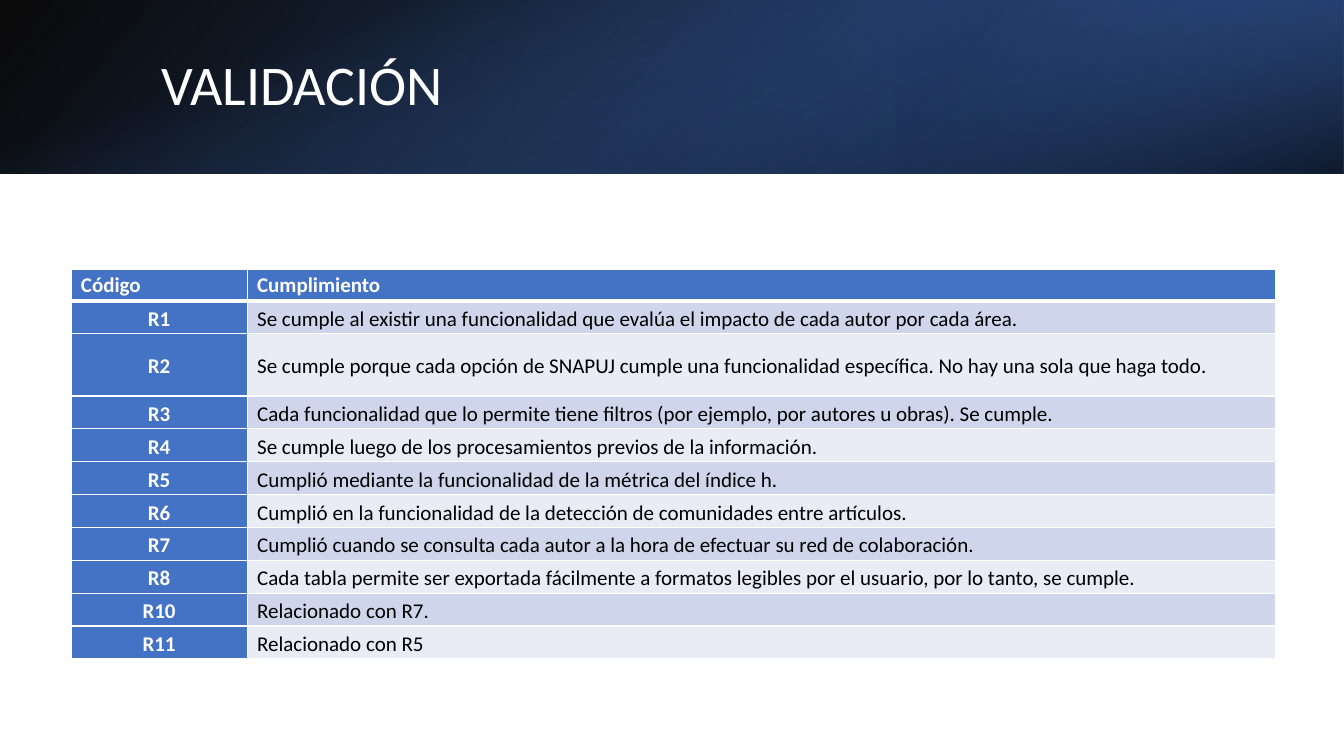
from dataclasses import dataclass

from lxml.etree import SubElement
from pptx import Presentation
from pptx.dml.color import RGBColor
from pptx.enum.shapes import MSO_SHAPE
from pptx.enum.text import MSO_ANCHOR, PP_ALIGN
from pptx.oxml.ns import qn
from pptx.util import Cm, Pt


@dataclass(frozen=True)
class Theme:
    font: str = "Calibri"
    title_size: int = 40
    table_size: int = 15
    white: str = "FFFFFF"
    black: str = "000000"
    blue: str = "4472C4"
    mid_blue: str = "2F5597"
    dark_blue: str = "203864"
    bands: tuple = ("CFD5EA", "E9EBF5")


THEME = Theme()

HEADER = ("Código", "Cumplimiento")
REQUIREMENTS = [
    ("R1", "Se cumple al existir una funcionalidad que evalúa el impacto de cada autor por cada área."),
    ("R2", "Se cumple porque cada opción de SNAPUJ cumple una funcionalidad específica. "
           "No hay una sola que haga todo."),
    ("R3", "Cada funcionalidad que lo permite tiene filtros (por ejemplo, por autores u obras). Se cumple."),
    ("R4", "Se cumple luego de los procesamientos previos de la información."),
    ("R5", "Cumplió mediante la funcionalidad de la métrica del índice h."),
    ("R6", "Cumplió en la funcionalidad de la detección de comunidades entre artículos."),
    ("R7", "Cumplió cuando se consulta cada autor a la hora de efectuar su red de colaboración."),
    ("R8", "Cada tabla permite ser exportada fácilmente a formatos legibles por el usuario, "
           "por lo tanto, se cumple."),
    ("R10", "Relacionado con R7."),
    ("R11", "Relacionado con R5"),
]


def format_text(p, size, color, bold=False):
    for r in p.runs:
        r.font.name = THEME.font
        r.font.size = Pt(size)
        r.font.bold = bold
        r.font.color.rgb = RGBColor.from_string(color)


def add_gradient_rect(slide, left, top, width, height, stops, angle, rotation=0, flip=False):
    """Stops are (position %, colour, opacity %); the angle runs clockwise."""
    sp = slide.shapes.add_shape(MSO_SHAPE.RECTANGLE, left, top, width, height)
    sp.shadow.inherit = False
    sp.line.fill.background()
    sp.rotation = rotation
    spPr = sp._element.spPr
    if flip:
        spPr.find(qn("a:xfrm")).set("flipH", "1")
    sp.fill.gradient()
    grad = spPr.find(qn("a:gradFill"))
    for child in list(grad):
        grad.remove(child)
    stop_list = SubElement(grad, qn("a:gsLst"))
    for position, color, opacity in stops:
        stop = SubElement(stop_list, qn("a:gs"), pos=str(position * 1000))
        rgb = SubElement(stop, qn("a:srgbClr"), val=color)
        SubElement(rgb, qn("a:alpha"), val=str(opacity * 1000))
    SubElement(grad, qn("a:lin"), ang=str(angle * 60000), scaled="0")


def add_title_band(slide, left, top, width, height):
    add_gradient_rect(slide, left, top, width, height,
                      [(0, THEME.black, 96), (100, THEME.mid_blue, 100)], 140, flip=True)
    third = width // 3
    add_gradient_rect(slide, left + width - third, top, third, height,
                      [(19, THEME.dark_blue, 68), (100, THEME.blue, 79)], 320,
                      rotation=180, flip=True)
    # A quarter turn about the centre makes this upright strip cover the band
    shift = (width - height) // 2
    add_gradient_rect(slide, left + shift, top - shift, height, width,
                      [(23, THEME.blue, 0), (99, THEME.black, 74)], 340, rotation=90)

    title = slide.shapes.title
    slide.shapes._spTree.append(title._element)
    title.left, title.top = left + Cm(3.81), top + Cm(0.97)
    title.width, title.height = Cm(27.89), Cm(2.44)
    tf = title.text_frame
    tf.text = "VALIDACIÓN"
    tf.word_wrap = True
    tf.vertical_anchor = MSO_ANCHOR.MIDDLE
    p = tf.paragraphs[0]
    p.alignment = PP_ALIGN.LEFT
    p.line_spacing = 0.9
    format_text(p, THEME.title_size, THEME.white)


def add_borders(cell, bottom):
    """Draws white 1 pt edges, with a bottom edge of the given weight."""
    tcPr = cell._tc.get_or_add_tcPr()
    for i, (side, weight) in enumerate((("L", 1), ("R", 1), ("T", 1), ("B", bottom))):
        line = tcPr.makeelement(qn(f"a:ln{side}"), {"w": str(Pt(weight))})
        fill = SubElement(line, qn("a:solidFill"))
        SubElement(fill, qn("a:srgbClr"), val=THEME.white)
        tcPr.insert(i, line)


def fill_cell(cell, text, row, col):
    is_header = row == 0
    is_blue = is_header or col == 0
    cell.text = text
    cell.vertical_anchor = MSO_ANCHOR.MIDDLE
    cell.margin_left = cell.margin_right = Cm(0.25)
    cell.margin_top = cell.margin_bottom = 0
    cell.fill.solid()
    color = THEME.blue if is_blue else THEME.bands[(row - 1) % 2]
    cell.fill.fore_color.rgb = RGBColor.from_string(color)
    p = cell.text_frame.paragraphs[0]
    if is_header:
        p.alignment = PP_ALIGN.LEFT
        p.space_after = Pt(6)
    else:
        p.alignment = PP_ALIGN.CENTER if col == 0 else PP_ALIGN.JUSTIFY
        p.line_spacing = 1.15
    format_text(p, THEME.table_size, THEME.white if is_blue else THEME.black, is_blue)
    add_borders(cell, bottom=3 if is_header else 1)


def add_requirements_table(slide, left, top, width, height):
    rows = [HEADER, *REQUIREMENTS]
    table = slide.shapes.add_table(len(rows), len(HEADER), left, top, width, height).table
    table.horz_banding = False
    code_width = Cm(4.44)
    table.columns[0].width = code_width
    table.columns[1].width = width - code_width
    special_heights = {0: Cm(0.79), 2: Cm(1.57)}
    regular = (height - sum(special_heights.values())) // (len(rows) - len(special_heights))
    for i, texts in enumerate(rows):
        table.rows[i].height = special_heights.get(i, regular)
        for j, text in enumerate(texts):
            fill_cell(table.cell(i, j), text, i, j)


def main():
    prs = Presentation()
    prs.slide_width, prs.slide_height = Cm(33.87), Cm(19.05)
    slide = prs.slides.add_slide(prs.slide_layouts[5])
    add_title_band(slide, 0, 0, prs.slide_width, Cm(4.37))
    add_requirements_table(slide, Cm(1.79), Cm(6.79), Cm(30.35), Cm(9.82))
    prs.save("out.pptx")


if __name__ == "__main__":
    main()
